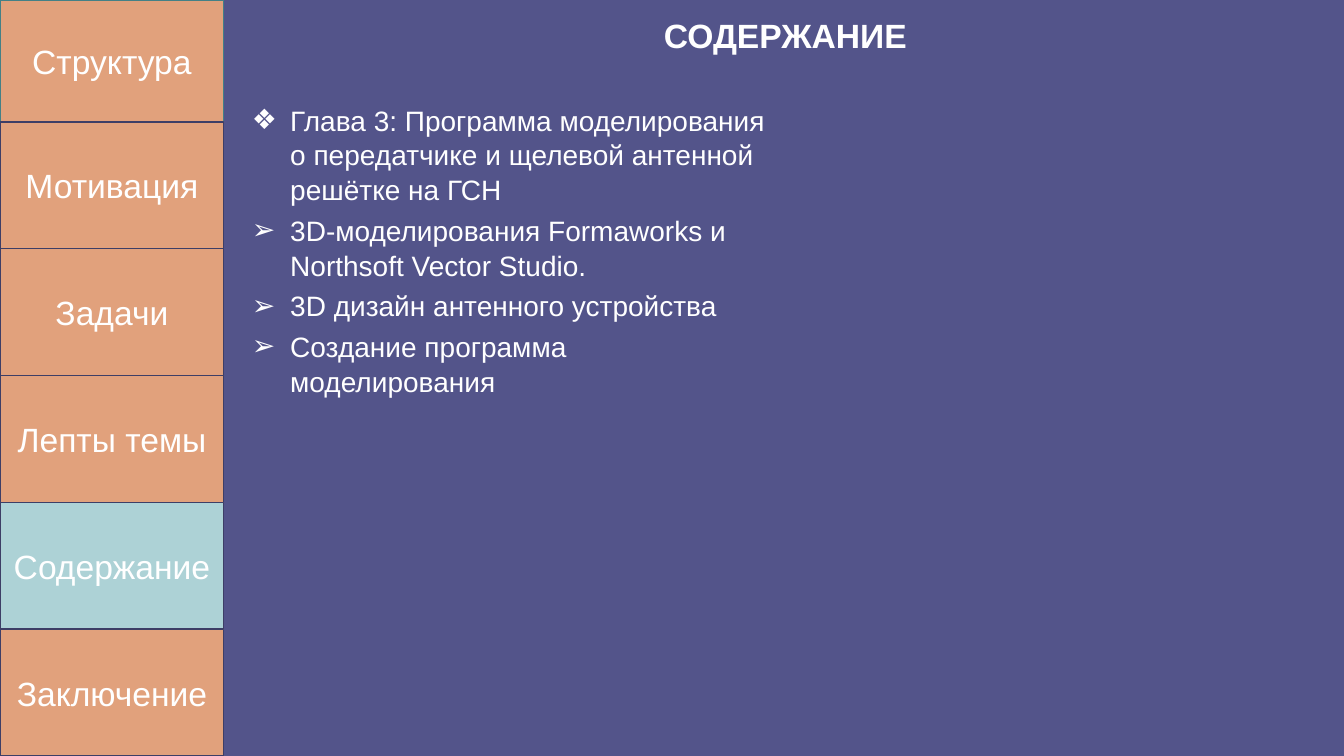
"""Builds the contents slide with its navigation column."""
import pptx
import pptx.util
import pptx.dml.color
import pptx.enum.shapes
import pptx.enum.text
import pptx.oxml.ns
from lxml import etree

TITLE = "СОДЕРЖАНИЕ"
SECTIONS = ["Структура", "Мотивация", "Задачи", "Лепты темы", "Содержание", "Заключение"]
CURRENT_SECTION = "Содержание"
POINTS = [
    ("❖", "Глава 3: Программа моделирования о передатчике и щелевой антенной решётке на ГСН"),
    ("➢", "3D-моделирования Formaworks и Northsoft Vector Studio."),
    ("➢", "3D дизайн антенного устройства"),
    ("➢", "Создание программа моделирования"),
]
COLORS = {
    "background": "53548A",
    "text": "FFFFFF",
    "tab": "E1A17C",
    "current": "ADD2D6",
    "border": "3D3E66",
    "first_border": "438086",
}
TAB_WIDTH, FIRST_HEIGHT, TAB_HEIGHT = 2.22, 1.21, 1.258
INDENT = 0.38
HEADING = {"size": pptx.util.Pt(24), "bold": True}
TAB_LABEL = {"size": pptx.util.Pt(24)}
BODY = {"size": pptx.util.Pt(20)}
CENTER = {"alignment": pptx.enum.text.PP_ALIGN.CENTER}
LIST_ITEM = {"space_after": pptx.util.Pt(4), "line_spacing": 1.04}


def color(name):
    return pptx.dml.color.RGBColor.from_string(COLORS[name])


def inches(*lengths):
    return [pptx.util.Inches(length) for length in lengths]


def apply(target, values):
    for name, value in values.items():
        setattr(target, name, value)


def write(paragraph, text, font, layout):
    run = paragraph.add_run()
    run.text = text
    apply(paragraph, layout)
    apply(run.font, {"name": "Arial", **font})
    run.font.color.rgb = color("text")


def add_bullet(paragraph, symbol):
    properties = paragraph._p.get_or_add_pPr()
    indent = pptx.util.Inches(INDENT)
    properties.set("marL", str(indent))
    properties.set("indent", str(-indent))
    for tag, attribute, value in (("a:buFont", "typeface", "Arial"), ("a:buChar", "char", symbol)):
        etree.SubElement(properties, pptx.oxml.ns.qn(tag)).set(attribute, value)


def add_text_frame(slide, *box):
    frame = slide.shapes.add_textbox(*inches(*box)).text_frame
    frame.word_wrap = True
    return frame


def add_tab(slide, index, label):
    top = FIRST_HEIGHT + (index - 1) * TAB_HEIGHT if index else 0
    height = TAB_HEIGHT if index else FIRST_HEIGHT
    shape = slide.shapes.add_shape(
        pptx.enum.shapes.MSO_SHAPE.RECTANGLE, *inches(0, top, TAB_WIDTH, height))
    shape.shadow.inherit = False
    shape.fill.solid()
    shape.fill.fore_color.rgb = color("current" if label == CURRENT_SECTION else "tab")
    shape.line.color.rgb = color("border" if index else "first_border")
    shape.line.width = pptx.util.Pt(1 if index else 0.75)
    shape.text_frame.word_wrap = True
    shape.text_frame.vertical_anchor = pptx.enum.text.MSO_ANCHOR.MIDDLE
    write(shape.text_frame.paragraphs[0], label, TAB_LABEL, CENTER)


def main():
    presentation = pptx.Presentation()
    presentation.slide_width, presentation.slide_height = inches(13.33, 7.5)
    slide = presentation.slides.add_slide(presentation.slide_layouts[6])
    slide.background.fill.solid()
    slide.background.fill.fore_color.rgb = color("background")

    title = add_text_frame(slide, 5.66, 0.1, 4.26, 0.5)
    write(title.paragraphs[0], TITLE, HEADING, CENTER)

    contents = add_text_frame(slide, 2.4, 0.96, 5.42, 2.63)
    for index, (symbol, text) in enumerate(POINTS):
        paragraph = contents.add_paragraph() if index else contents.paragraphs[0]
        add_bullet(paragraph, symbol)
        write(paragraph, text, BODY, LIST_ITEM)

    for index, label in enumerate(SECTIONS):
        add_tab(slide, index, label)

    presentation.save("out.pptx")


if __name__ == "__main__":
    main()
